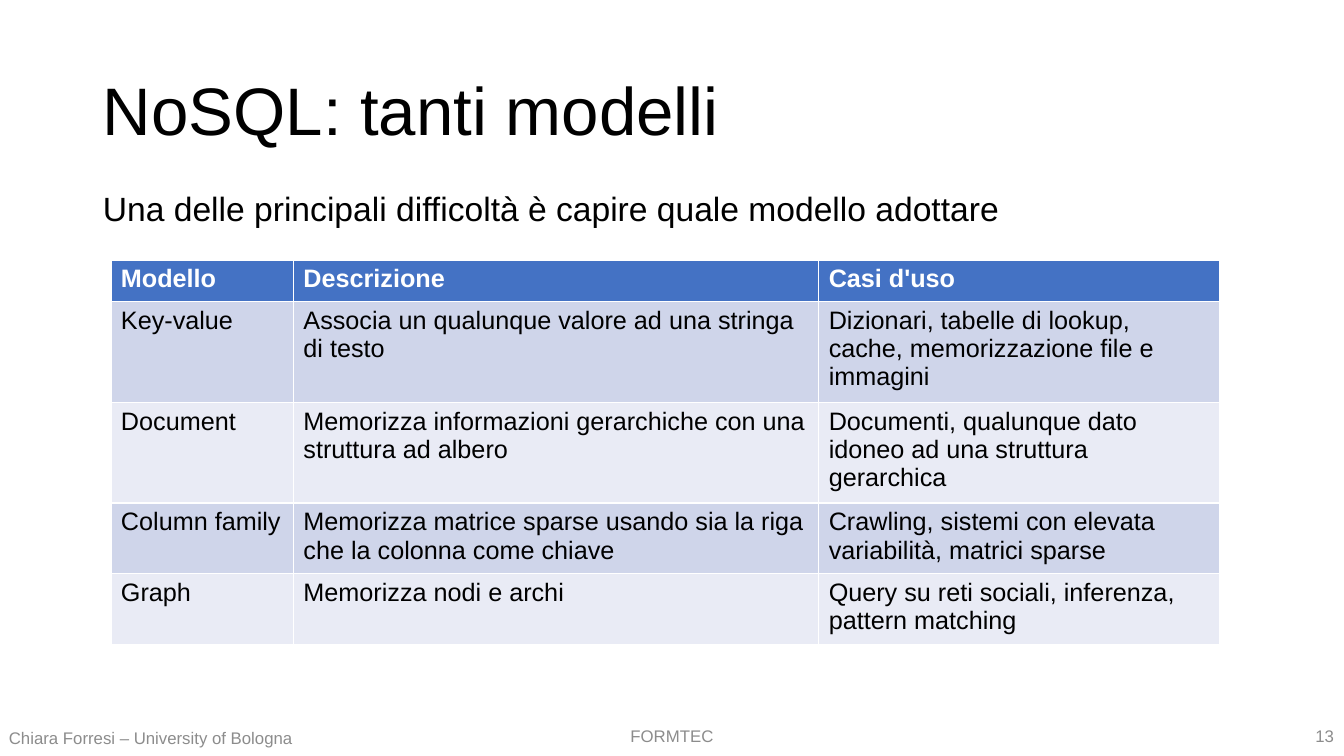
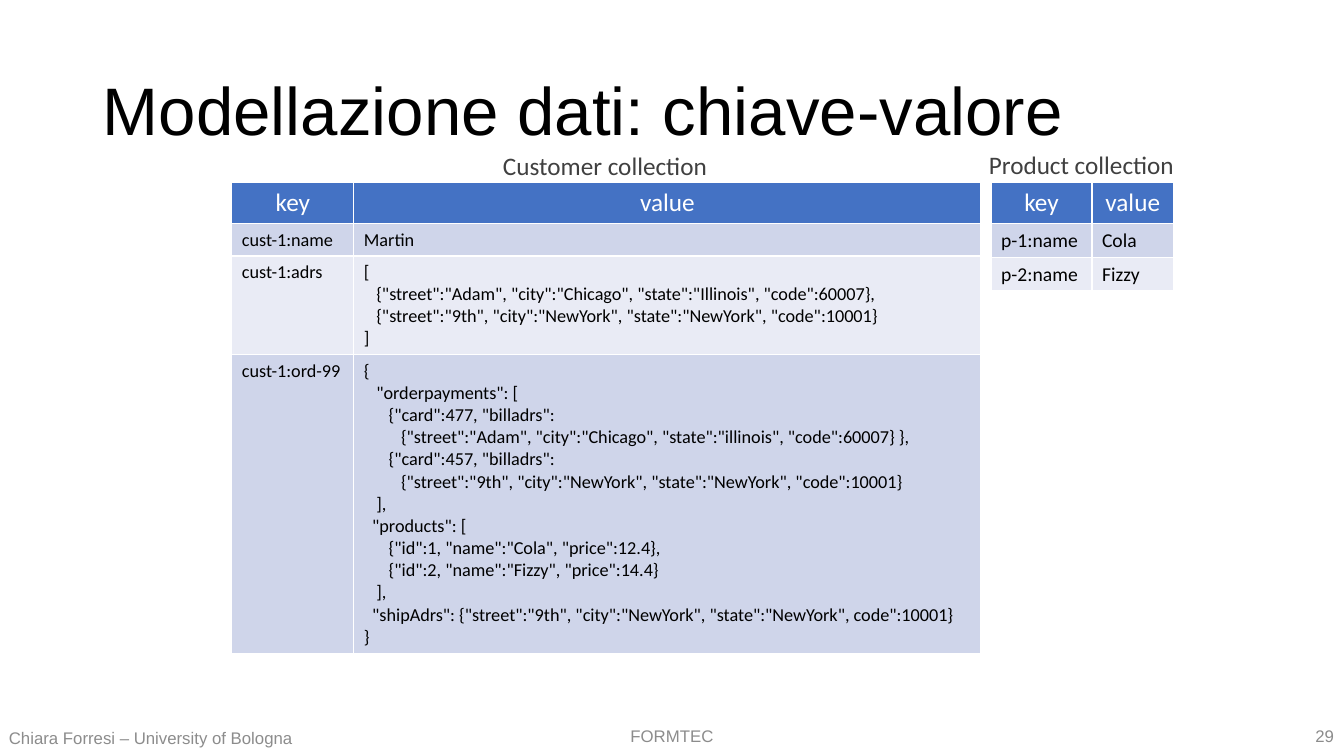
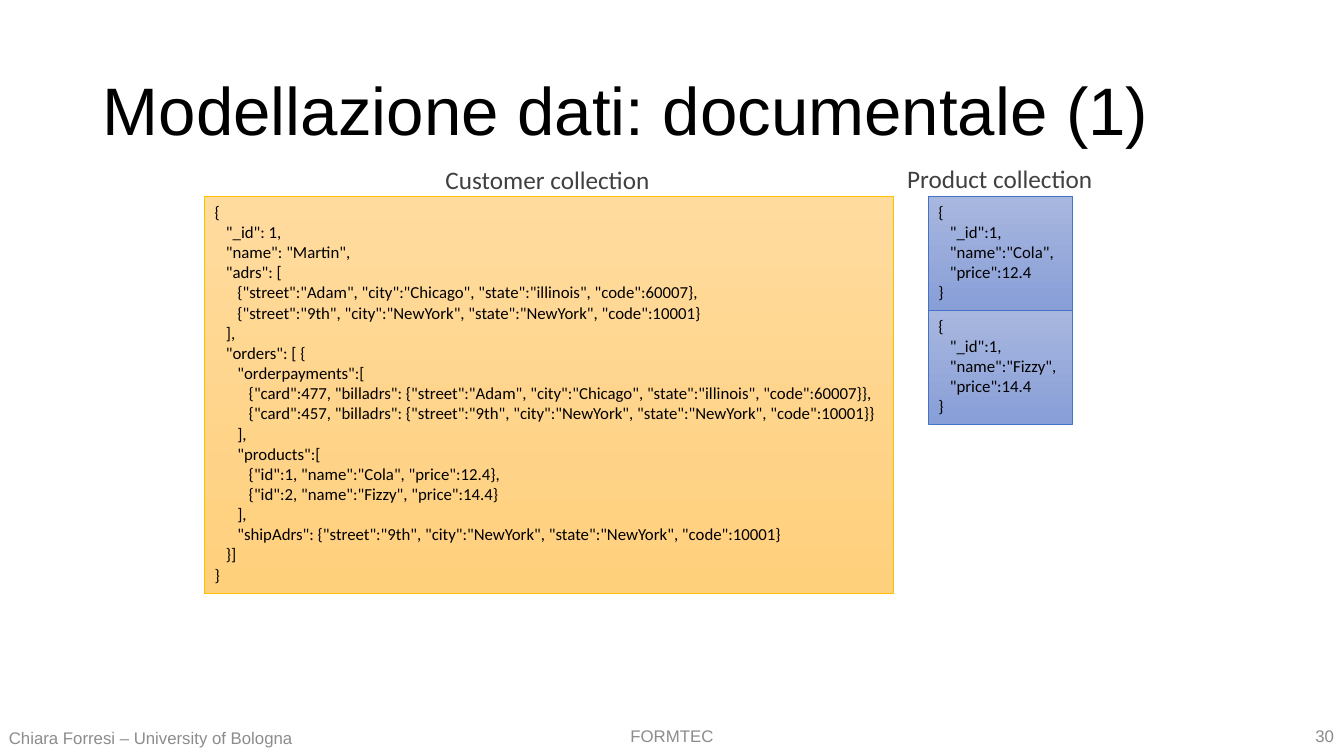
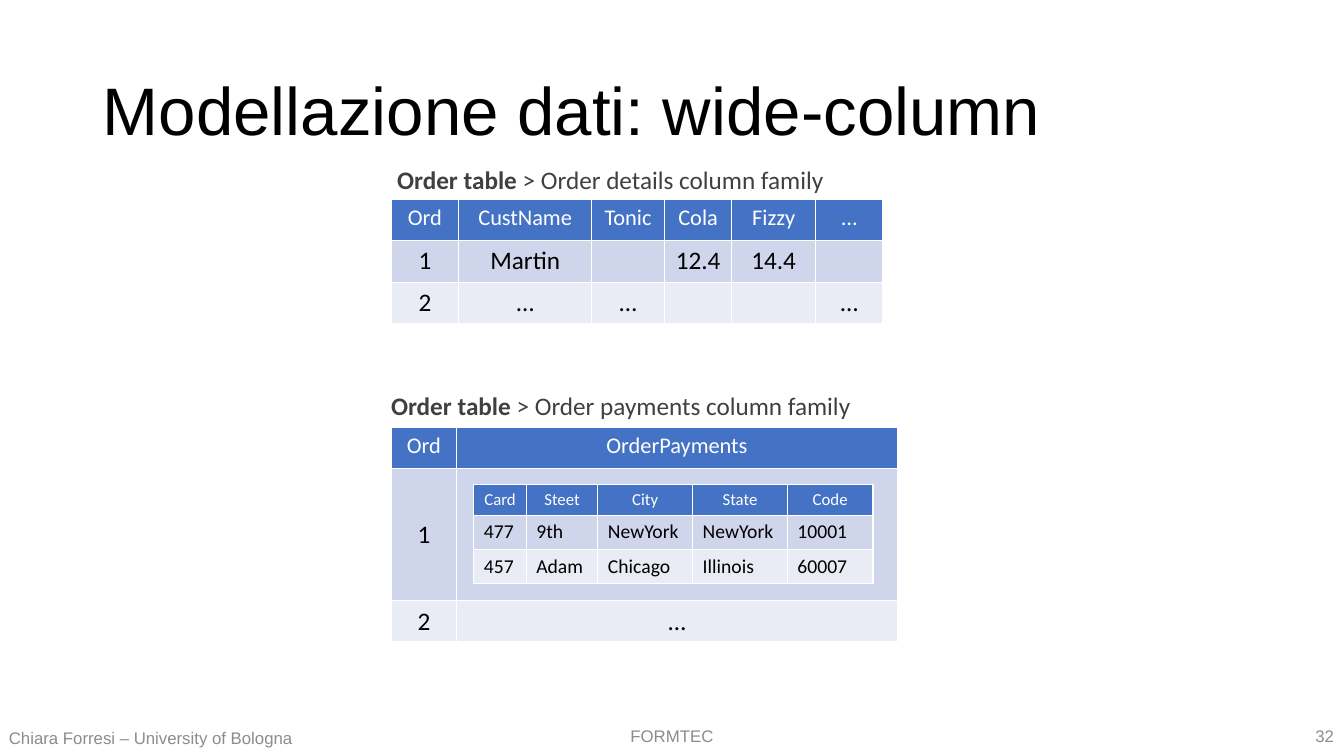
from dataclasses import dataclass

from lxml.etree import SubElement
from pptx import Presentation
from pptx.dml.color import RGBColor
from pptx.enum.shapes import MSO_SHAPE
from pptx.enum.text import MSO_ANCHOR, PP_ALIGN
from pptx.oxml.ns import qn
from pptx.util import Pt

EMU_PER_PX = 9144  # 100 px to the inch
SPACE_WIDTH = 0.226  # width of a Calibri space, in ems


def px(length):
    return length * EMU_PER_PX


@dataclass(frozen=True)
class Theme:
    heading_font: str = "Arial"
    data_font: str = "Calibri"
    text: str = "000000"
    caption: str = "404040"
    footer: str = "8C8C8C"
    header_text: str = "FFFFFF"
    header_fill: str = "4472C4"
    bands: tuple = ("CFD5EA", "E9EBF5")
    orange: tuple = ("FFDB9E", "FFD07C", "FFC000")  # top, bottom, line
    blue: tuple = ("A8B7DF", "889ED7", "4472C4")
    title_size: int = 48
    body_size: int = 24
    caption_size: int = 18
    code_size: int = 12
    footer_size: int = 12


@dataclass(frozen=True)
class TableStyle:
    header_size: int = 18
    body_size: int = 18
    font: str = Theme.data_font
    bold_header: bool = False
    header_align: PP_ALIGN = PP_ALIGN.CENTER
    body_align: PP_ALIGN = PP_ALIGN.LEFT
    body_anchor: MSO_ANCHOR = MSO_ANCHOR.TOP


def format_paragraph(paragraph, font, size, color, bold=False, align=PP_ALIGN.LEFT):
    paragraph.alignment = align
    paragraph.font.name = font
    paragraph.font.size = Pt(size)
    paragraph.font.bold = bold
    paragraph.font.color.rgb = RGBColor.from_string(color)


def write_lines(frame, text, font, size, color, **options):
    """Write one paragraph a line, turning leading spaces into a left margin."""
    for number, line in enumerate(text.split("\n")):
        paragraph = frame.paragraphs[0] if number == 0 else frame.add_paragraph()
        words = line.lstrip()
        paragraph.text = words
        format_paragraph(paragraph, font, size, color, **options)
        depth = len(line) - len(words)
        if depth:
            properties = paragraph._p.get_or_add_pPr()
            properties.set("marL", str(Pt(depth * size * SPACE_WIDTH)))
            properties.set("indent", "0")


class Deck:
    def __init__(self, theme):
        self.theme = theme
        self.presentation = Presentation()
        self.presentation.slide_width = px(1333)
        self.presentation.slide_height = px(750)
        self.slide = None

    def add_slide(self, title, number, body=None):
        theme = self.theme
        layout = self.presentation.slide_layouts[1 if body else 5]
        self.slide = self.presentation.slides.add_slide(layout)
        self.footer("FORMTEC", 523, 710, 287, PP_ALIGN.CENTER)
        self.footer("Chiara Forresi – University of Bologna", -1, 712, 317, PP_ALIGN.LEFT)
        self.footer(str(number), 1033, 710, 300, PP_ALIGN.RIGHT)
        self.placeholder(0, title, 40, 145, theme.title_size, MSO_ANCHOR.MIDDLE)
        if body:
            paragraph = self.placeholder(1, body, 186, 476, theme.body_size, MSO_ANCHOR.TOP)
            paragraph.space_before = Pt(10)
            properties = paragraph._p.get_or_add_pPr()
            properties.set("marL", "0")
            properties.set("indent", "0")
            bullet = SubElement(properties, qn("a:buNone"))
            properties.find(qn("a:defRPr")).addprevious(bullet)

    def placeholder(self, index, text, top, height, size, anchor):
        shape = self.slide.placeholders[index]
        shape.left, shape.top = px(92), px(top)
        shape.width, shape.height = px(1150), px(height)
        frame = shape.text_frame
        frame.vertical_anchor = anchor
        write_lines(frame, text, self.theme.heading_font, size, self.theme.text)
        paragraph = frame.paragraphs[0]
        paragraph.line_spacing = 0.9
        return paragraph

    def text_frame(self, left, top, width):
        box = self.slide.shapes.add_textbox(px(left), px(top), px(width), px(40))
        box.text_frame.word_wrap = True
        return box.text_frame

    def footer(self, text, left, top, width, align):
        frame = self.text_frame(left, top, width)
        frame.vertical_anchor = MSO_ANCHOR.MIDDLE
        write_lines(frame, text, self.theme.heading_font, self.theme.footer_size,
                    self.theme.footer, align=align)

    def caption(self, text, left, top, width, bold_lead=""):
        paragraph = self.text_frame(left, top, width).paragraphs[0]
        format_paragraph(paragraph, self.theme.data_font, self.theme.caption_size,
                         self.theme.caption)
        if bold_lead:
            lead = paragraph.add_run()
            lead.text = bold_lead
            lead.font.bold = True
        paragraph.add_run().text = text

    def code_card(self, code, left, top, width, height, colors):
        shape = self.slide.shapes.add_shape(
            MSO_SHAPE.RECTANGLE, px(left), px(top), px(width), px(height))
        shape.shadow.inherit = False
        *gradient, line = colors
        shape.fill.gradient()
        shape.fill.gradient_angle = 270
        for stop, color in zip(shape.fill.gradient_stops, gradient):
            stop.color.rgb = RGBColor.from_string(color)
        shape.line.color.rgb = RGBColor.from_string(line)
        shape.line.width = Pt(0.5)
        frame = shape.text_frame
        frame.word_wrap = True
        frame.vertical_anchor = MSO_ANCHOR.TOP
        write_lines(frame, code, self.theme.data_font, self.theme.code_size, self.theme.text)

    def table(self, left, top, widths, heights, rows, style):
        theme = self.theme
        table = self.slide.shapes.add_table(
            len(rows), len(widths), px(left), px(top),
            px(sum(widths)), px(sum(heights))).table
        for column, width in zip(table.columns, widths):
            column.width = px(width)
        for number, (row, height, texts) in enumerate(zip(table.rows, heights, rows)):
            row.height = px(height)
            is_header = number == 0
            fill = theme.header_fill if is_header else theme.bands[(number - 1) % 2]
            for cell, text in zip(row.cells, texts):
                cell.fill.solid()
                cell.fill.fore_color.rgb = RGBColor.from_string(fill)
                if is_header:
                    write_lines(cell.text_frame, text, style.font, style.header_size,
                                theme.header_text, bold=style.bold_header,
                                align=style.header_align)
                else:
                    cell.vertical_anchor = style.body_anchor
                    write_lines(cell.text_frame, text, style.font, style.body_size,
                                theme.text, align=style.body_align)


MODELS = [
    ("Modello", "Descrizione", "Casi d'uso"),
    ("Key-value", "Associa un qualunque valore ad una stringa di testo",
     "Dizionari, tabelle di lookup, cache, memorizzazione file e immagini"),
    ("Document", "Memorizza informazioni gerarchiche con una struttura ad albero",
     "Documenti, qualunque dato idoneo ad una struttura gerarchica"),
    ("Column family", "Memorizza matrice sparse usando sia la riga che la colonna come chiave",
     "Crawling, sistemi con elevata variabilità, matrici sparse"),
    ("Graph", "Memorizza nodi e archi",
     "Query su reti sociali, inferenza, pattern matching"),
]

ADDRESSES = """[
   {"street":"Adam", "city":"Chicago", "state":"Illinois", "code":60007},
   {"street":"9th", "city":"NewYork", "state":"NewYork", "code":10001}
]"""

ORDER = """{
   "orderpayments": [
      {"card":477, "billadrs":
         {"street":"Adam", "city":"Chicago", "state":"illinois", "code":60007} },
      {"card":457, "billadrs":
         {"street":"9th", "city":"NewYork", "state":"NewYork", "code":10001}
   ],
  "products": [
      {"id":1, "name":"Cola", "price":12.4},
      {"id":2, "name":"Fizzy", "price":14.4}
   ],
  "shipAdrs": {"street":"9th", "city":"NewYork", "state":"NewYork", code":10001}
}"""

CUSTOMER_DOCUMENT = """{
   "_id": 1,
   "name": "Martin",
   "adrs": [
      {"street":"Adam", "city":"Chicago", "state":"illinois", "code":60007},
      {"street":"9th", "city":"NewYork", "state":"NewYork", "code":10001}
   ],
   "orders": [ {
      "orderpayments":[
         {"card":477, "billadrs": {"street":"Adam", "city":"Chicago", "state":"illinois", "code":60007}},
         {"card":457, "billadrs": {"street":"9th", "city":"NewYork", "state":"NewYork", "code":10001}}
      ],
      "products":[
         {"id":1, "name":"Cola", "price":12.4},
         {"id":2, "name":"Fizzy", "price":14.4}
      ],
      "shipAdrs": {"street":"9th", "city":"NewYork", "state":"NewYork", "code":10001}
   }]
}"""

PRODUCT_DOCUMENT = """{
   "_id":1,
   "name":"%s",
   "price":%s
}"""


def add_models_slide(deck):
    deck.add_slide("NoSQL: tanti modelli", 13,
                   "Una delle principali difficoltà è capire quale modello adottare")
    deck.table(110, 258, (181, 521, 398), (41, 94, 94, 66, 66), MODELS,
               TableStyle(font=deck.theme.heading_font, bold_header=True,
                          header_align=PP_ALIGN.LEFT))


def add_key_value_slide(deck):
    deck.add_slide("Modellazione dati: chiave-valore", 29)
    customers = [("key", "value"), ("cust-1:name", "Martin"),
                 ("cust-1:adrs", ADDRESSES), ("cust-1:ord-99", ORDER)]
    products = [("key", "value"), ("p-1:name", "Cola"), ("p-2:name", "Fizzy")]
    deck.table(230, 181, (121, 622), (41, 32, 98, 296), customers, TableStyle(body_size=13))
    deck.table(983, 181, (100, 81), (41, 33, 33), products, TableStyle(body_size=14))
    deck.caption("Customer collection", 489, 144, 225)
    deck.caption("Product collection", 971, 143, 206)


def add_document_slide(deck):
    deck.add_slide("Modellazione dati: documentale (1)", 30)
    deck.code_card(CUSTOMER_DOCUMENT, 203, 195, 683, 394, deck.theme.orange)
    for number, product in enumerate((("Cola", "12.4"), ("Fizzy", "14.4"))):
        deck.code_card(PRODUCT_DOCUMENT % product, 921, 195 + 113 * number, 143, 113,
                       deck.theme.blue)
    deck.caption("Customer collection", 432, 158, 225)
    deck.caption("Product collection", 890, 157, 206)


def add_wide_column_slide(deck):
    deck.add_slide("Modellazione dati: wide-column", 32)
    details = [("Ord", "CustName", "Tonic", "Cola", "Fizzy", "…"),
               ("1", "Martin", "", "12.4", "14.4", ""),
               ("2", "…", "…", "", "", "…")]
    payments = [("Ord", "OrderPayments"), ("1", ""), ("2", "…")]
    cards = [("Card", "Steet", "City", "State", "Code"),
             ("477", "9th", "NewYork", "NewYork", "10001"),
             ("457", "Adam", "Chicago", "Illinois", "60007")]
    centered = {"header_size": 16, "body_align": PP_ALIGN.CENTER}
    deck.table(388, 198, (67, 132, 72, 67, 83, 67), (41, 41, 41), details,
               TableStyle(**centered))
    deck.table(388, 424, (65, 437), (41, 131, 41), payments,
               TableStyle(**centered, body_anchor=MSO_ANCHOR.MIDDLE))
    deck.table(470, 481, (52, 71, 94, 94, 85), (30, 34, 34), cards,
               TableStyle(header_size=12, body_size=14))
    deck.caption(" > Order details column family", 384, 158, 445, "Order table")
    deck.caption(" > Order payments column family", 378, 382, 478, "Order table")


def main():
    deck = Deck(Theme())
    add_models_slide(deck)
    add_key_value_slide(deck)
    add_document_slide(deck)
    add_wide_column_slide(deck)
    deck.presentation.save("out.pptx")


if __name__ == "__main__":
    main()
